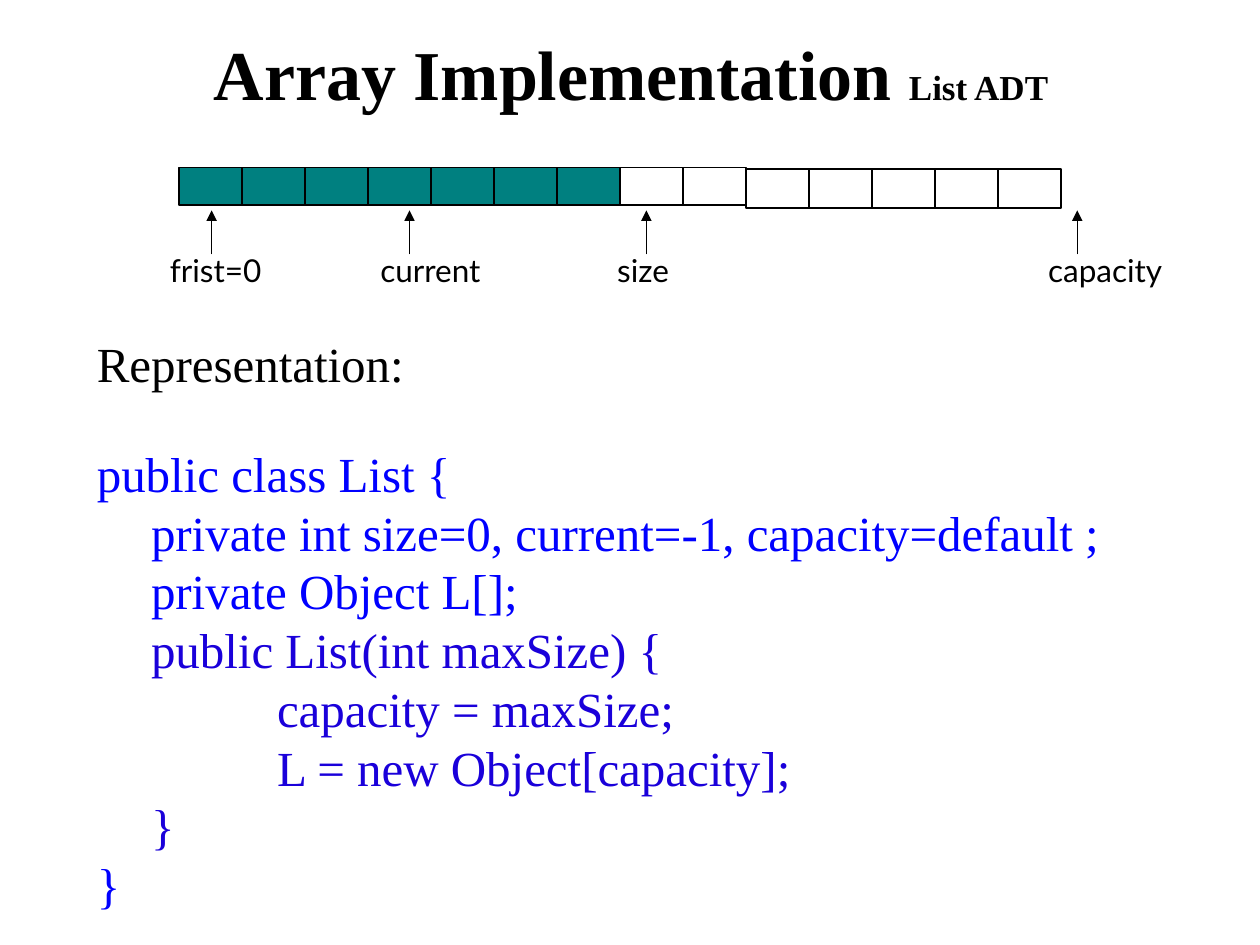
from lxml import etree
from pptx import Presentation
from pptx.dml.color import RGBColor
from pptx.enum.shapes import MSO_CONNECTOR, MSO_SHAPE
from pptx.enum.text import MSO_ANCHOR, PP_ALIGN
from pptx.oxml.ns import qn
from pptx.util import Inches, Pt

RECT, STRAIGHT = MSO_SHAPE.RECTANGLE, MSO_CONNECTOR.STRAIGHT
LEFT, CENTER = PP_ALIGN.LEFT, PP_ALIGN.CENTER
TOP, BOTTOM = MSO_ANCHOR.TOP, MSO_ANCHOR.BOTTOM
SERIF, SANS = "Times New Roman", "Lato"
COLORS = {"black": "000000", "teal": "008080", "blue": "0000FF", "indigo": "1A00DA"}

# Content
TITLE = [("Array Implementation ", 40), ("List ADT ", 20)]
POINTERS = [  # label, arrow x, label left, label width
    ("frist=0", 1.68, 1.25, 0.95),
    ("current", 3.25, 2.92, 1.0),
    ("size", 5.13, 4.8, 0.62),
    ("capacity", 8.55, 8.22, 1.11),
]
CODE = [  # text, indent level, colour, space before in points
    ("Representation:", 0, "black", 0),
    ("public class List {", 0, "blue", 29),
    ("private int size=0, current=-1, capacity=default ;", 1, "blue", 0),
    ("private Object L[];", 1, "blue", 0),
    ("public List(int maxSize) {", 1, "indigo", 0),
    ("capacity = maxSize;", 2, "indigo", 0),
    ("L = new Object[capacity];", 2, "indigo", 0),
    ("}", 1, "indigo", 0),
    ("}", 0, "blue", 0),
]

# Grid
CELLS, USED, LOWER_FROM = 14, 7, 9
CELL_W, ARRAY_X, ARRAY_Y = 0.5, 1.42, 1.33
ARROW_TIP, ARROW_BASE, LABEL_Y = 1.67, 2.02, 1.94
INDENTS = [0, 0.43, 1.43]


def rgb(name):
    return RGBColor.from_string(COLORS[name])


def add_text(slide, box, paras, font=SERIF, align=LEFT, anchor=TOP, wrap=True, pitch=None):
    """paras: list of dicts with runs (text, size), and optional color, indent, before."""
    tf = slide.shapes.add_textbox(*map(Inches, box)).text_frame
    tf.word_wrap, tf.vertical_anchor = wrap, anchor
    for i, para in enumerate(paras):
        p = tf.paragraphs[0] if i == 0 else tf.add_paragraph()
        p.alignment = align
        if pitch:
            p.line_spacing = Pt(pitch)
        if para.get("before"):
            p.space_before = Pt(para["before"])
        if para.get("indent"):
            p._p.get_or_add_pPr().set("marL", str(Inches(para["indent"])))
        for text, size in para["runs"]:
            r = p.add_run()
            r.text = text
            r.font.name, r.font.size = font, Pt(size)
            r.font.bold = para.get("bold", False)
            r.font.color.rgb = rgb(para.get("color", "black"))


def add_cell(slide, i):
    lower = i >= LOWER_FROM
    y, h = (ARRAY_Y + 0.01, 0.31) if lower else (ARRAY_Y, 0.3)
    s = slide.shapes.add_shape(
        RECT, *map(Inches, (ARRAY_X + i * CELL_W, y, CELL_W, h)))
    s.shadow.inherit = False
    if i < USED:
        s.fill.solid()
        s.fill.fore_color.rgb = rgb("teal")
    else:
        s.fill.background()
    s.line.color.rgb, s.line.width = rgb("black"), Pt(1)


def add_arrow(slide, x):
    s = slide.shapes.add_connector(
        STRAIGHT, *map(Inches, (x, ARROW_BASE, x, ARROW_TIP)))
    s.line.color.rgb, s.line.width = rgb("black"), Pt(0.75)
    etree.SubElement(s.line._get_or_add_ln(), qn("a:tailEnd"), type="triangle")
    etree.SubElement(s._element.spPr, qn("a:effectLst"))


def main():
    prs = Presentation()
    prs.slide_width, prs.slide_height = Inches(10), Inches(7.5)
    slide = prs.slides.add_slide(prs.slide_layouts[6])

    # Title
    add_text(slide, (0.33, 0.17, 9.42, 0.79), [{"runs": TITLE, "bold": True}],
             align=CENTER, anchor=BOTTOM)

    # Array with its pointers
    for i in range(CELLS):
        add_cell(slide, i)
    for label, x, left, width in POINTERS:
        add_arrow(slide, x)
        add_text(slide, (left, LABEL_Y, width, 0.4), [{"runs": [(label, 18)]}],
                 font=SANS, wrap=False)

    # Class listing
    lines = [{"runs": [(text, 28)], "indent": INDENTS[level],
              "color": color, "before": before}
             for text, level, color, before in CODE]
    add_text(slide, (0.67, 2.6, 8.58, 4.75), lines, pitch=33.6)

    prs.save("out.pptx")


if __name__ == "__main__":
    main()
